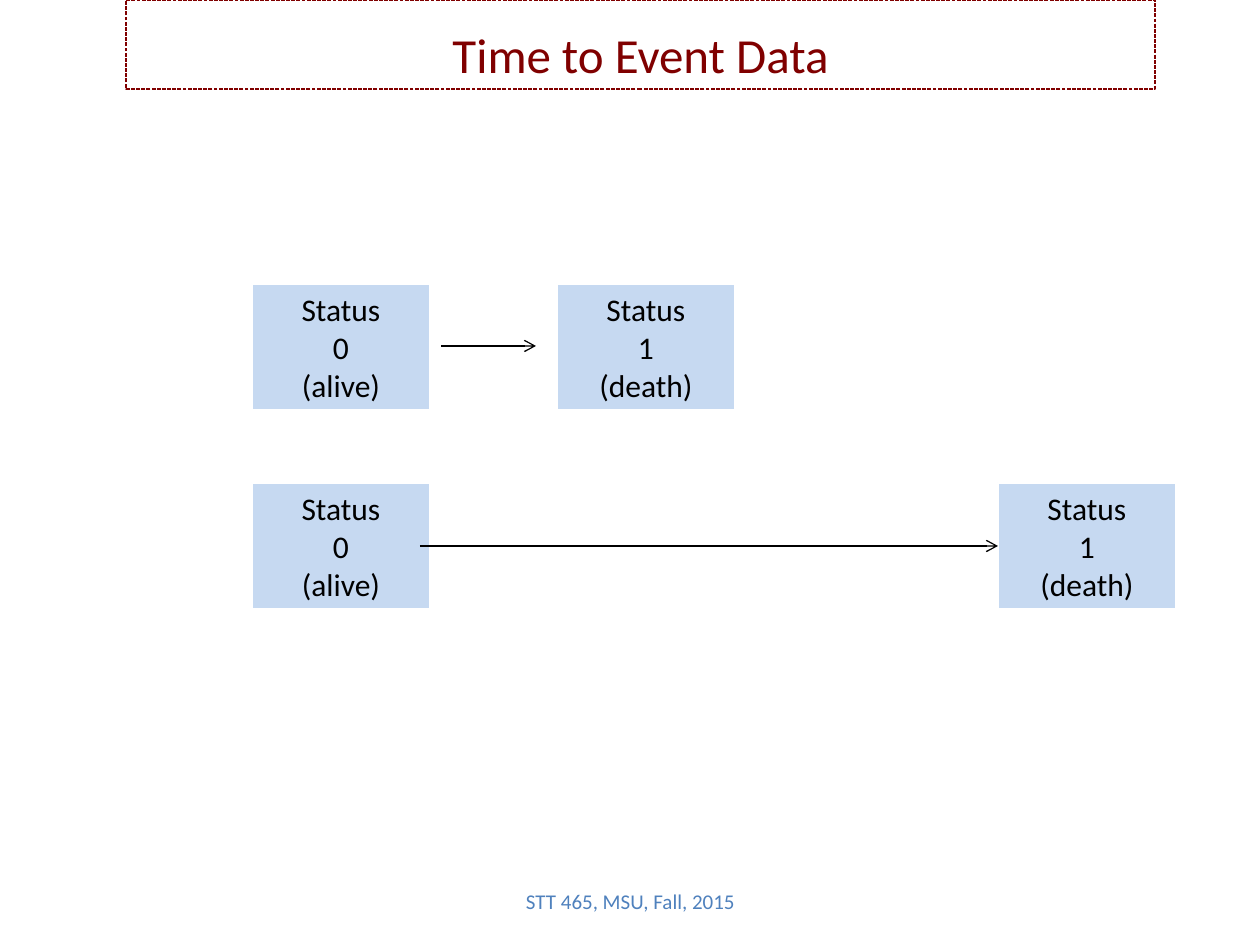
"""Build the Time to Event Data slide with two survival timelines."""
from lxml import etree
from pptx import Presentation
from pptx.dml.color import RGBColor
from pptx.enum.dml import MSO_LINE
from pptx.enum.shapes import MSO_CONNECTOR, MSO_SHAPE
from pptx.enum.text import MSO_ANCHOR, PP_ALIGN
from pptx.oxml.ns import qn
from pptx.util import Pt

RECTANGLE = MSO_SHAPE.RECTANGLE
STRAIGHT = MSO_CONNECTOR.STRAIGHT
DASHED = MSO_LINE.SQUARE_DOT
TOP, MIDDLE, BOTTOM = MSO_ANCHOR.TOP, MSO_ANCHOR.MIDDLE, MSO_ANCHOR.BOTTOM
CENTER = PP_ALIGN.CENTER
SCALE = 914400 / 126
COLORS = {
    name: RGBColor.from_string(value)
    for name, value in {
        "box": "C6D9F1",
        "border": "FFFFFF",
        "text": "000000",
        "title": "800000",
        "footer": "4F81BD",
    }.items()
}


def emu(*pixels):
    return [round(value * SCALE) for value in pixels]


def write(shape, text, size=18, color="text", anchor=TOP):
    frame = shape.text_frame
    frame.word_wrap = True
    frame.vertical_anchor = anchor
    frame.margin_left, frame.margin_top, frame.margin_right, frame.margin_bottom = emu(12, 6, 12, 6)
    frame.text = text
    for paragraph in frame.paragraphs:
        paragraph.alignment = CENTER
        paragraph.font.name = "Calibri"
        paragraph.font.size = Pt(size)
        paragraph.font.color.rgb = COLORS[color]


presentation = Presentation()
presentation.slide_width, presentation.slide_height = emu(1260, 945)
slide = presentation.slides.add_slide(presentation.slide_layouts[5])

title = slide.shapes.title
title.left, title.top, title.width, title.height = emu(126, 0, 1029, 89)
title.line.color.rgb = COLORS["title"]
title.line.width = Pt(0.75)
title.line.dash_style = DASHED
write(title, "Time to Event Data", size=28, color="title", anchor=BOTTOM)

timelines = [
    {"top": 284, "death": 557, "arrow": (441, 346, 536, 346), "joined": False},
    {"top": 483, "death": 998, "arrow": (420, 546, 998, 546), "joined": True},
]
for timeline in timelines:
    for left, text in ((252, "Status\n0\n(alive)"), (timeline["death"], "Status\n1\n(death)")):
        box = slide.shapes.add_shape(RECTANGLE, *emu(left, timeline["top"], 178, 126))
        box.shadow.inherit = False
        box.fill.solid()
        box.fill.fore_color.rgb = COLORS["box"]
        box.line.color.rgb = COLORS["border"]
        box.line.width = Pt(0.75)
        write(box, text)

    arrow = slide.shapes.add_connector(STRAIGHT, *emu(*timeline["arrow"]))
    if timeline["joined"]:
        arrow.end_connect(box, 1)
    arrow.line.color.rgb = COLORS["text"]
    arrow.line.width = Pt(0.75)
    properties = arrow._element.spPr
    etree.SubElement(properties.find(qn("a:ln")), qn("a:tailEnd"), type="arrow")
    etree.SubElement(properties, qn("a:effectLst"))

footer = slide.shapes.add_textbox(*emu(431, 876, 399, 50))
write(footer, "STT 465, MSU, Fall, 2015", size=12, color="footer", anchor=MIDDLE)

presentation.save("out.pptx")
